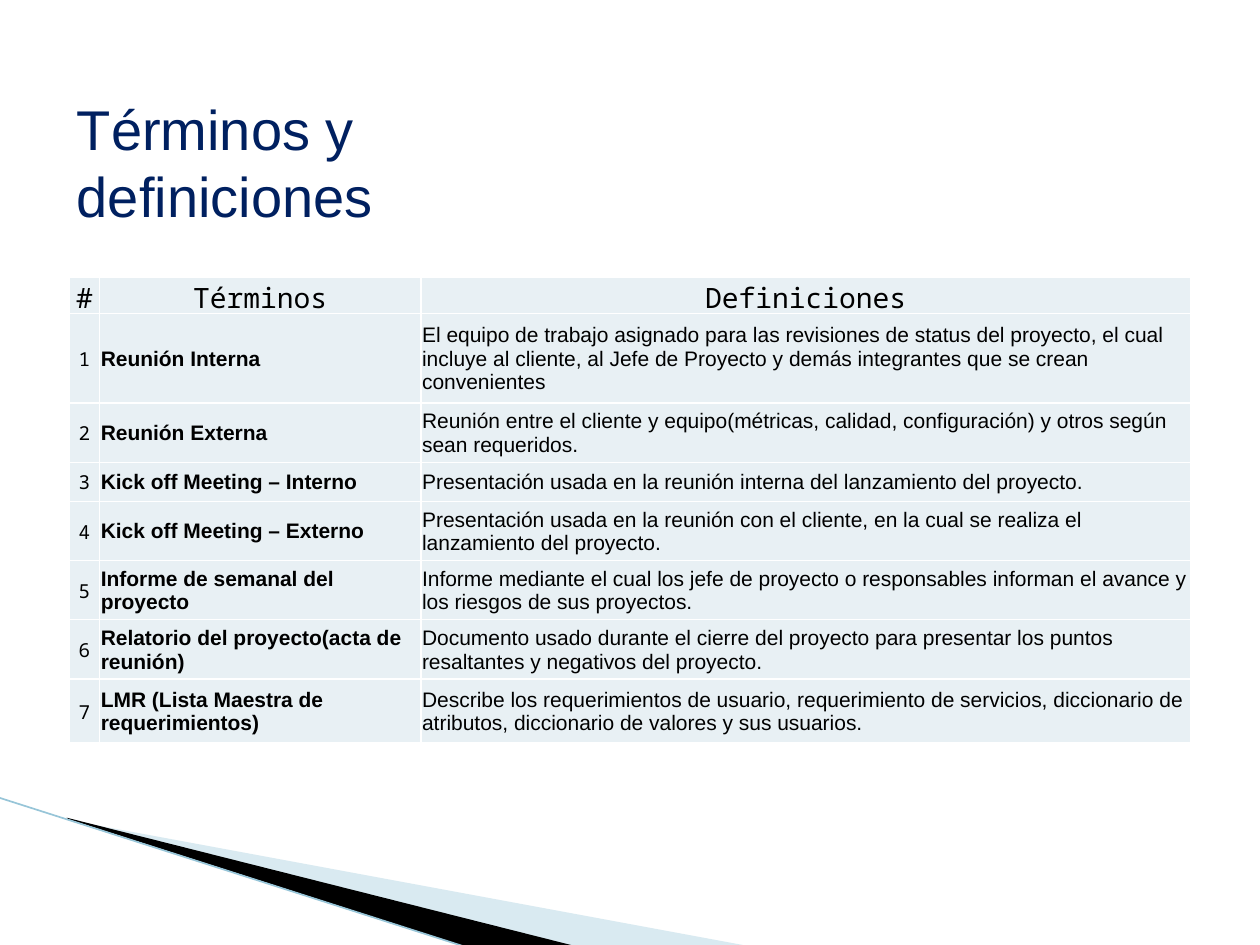
from dataclasses import dataclass

from lxml import etree
from pptx import Presentation
from pptx import util as u
from pptx.dml.color import RGBColor
from pptx.enum import shapes, text
from pptx.oxml.ns import qn


@dataclass(frozen=True)
class Theme:
    title: str = "002060"
    ink: str = "000000"
    cell: str = "E8F0F4"
    border: str = "FFFFFF"
    wedge: str = "A0CBDC"
    edge: str = "97C5D8"
    sans: str = "Arial"
    mono: str = "Noto Sans Mono"
    title_size: int = 32
    header_size: int = 16
    number_size: int = 11
    body_size: int = 12


THEME = Theme()
COLUMNS = [0.24, 2.55, 6.11]
ROWS = [0.29, 0.71, 0.47, 0.31, 0.47, 0.47, 0.47, 0.51]
HEADER = ["#", "Términos", "Definiciones"]
TERMS = [
    ("Reunión Interna",
     "El equipo de trabajo asignado para las revisiones de status del proyecto, el cual "
     "incluye al cliente, al Jefe de Proyecto y demás integrantes que se crean convenientes"),
    ("Reunión Externa",
     "Reunión entre el cliente y equipo(métricas, calidad, configuración) y otros según "
     "sean requeridos."),
    ("Kick off Meeting – Interno",
     "Presentación usada en la reunión interna del lanzamiento del proyecto."),
    ("Kick off Meeting – Externo",
     "Presentación usada en la reunión con el cliente, en la cual se realiza el "
     "lanzamiento del proyecto."),
    ("Informe de semanal del proyecto",
     "Informe mediante el cual los jefe de proyecto o responsables informan el avance y "
     "los riesgos de sus proyectos."),
    ("Relatorio del proyecto(acta de reunión)",
     "Documento usado durante el cierre del proyecto para presentar los puntos "
     "resaltantes y negativos del proyecto."),
    ("LMR (Lista Maestra de requerimientos)",
     "Describe los requerimientos de usuario, requerimiento de servicios, diccionario de "
     "atributos, diccionario de valores y sus usuarios."),
]


def rgb(value):
    return RGBColor.from_string(value)


def style(paragraph, name, size, color, bold=False, align=text.PP_ALIGN.LEFT):
    paragraph.alignment = align
    font = paragraph.font
    font.name, font.size, font.bold = name, u.Pt(size), bold
    font.color.rgb = rgb(color)


def add_wedge(slide, points, color, opacity=100):
    start, *rest = [(x * 100, y * 100) for x, y in points]
    builder = slide.shapes.build_freeform(*start, scale=u.Inches(1) / 100)
    builder.add_line_segments(rest, close=True)
    shape = builder.convert_to_shape()
    shape.shadow.inherit = False
    shape.fill.solid()
    shape.fill.fore_color.rgb = rgb(color)
    shape.line.fill.background()
    if opacity < 100:
        fill_color = shape.fill._xPr.find(qn("a:solidFill"))[0]
        etree.SubElement(fill_color, qn("a:alpha"), val=str(opacity * 1000))


def add_edge(slide, start, end):
    points = [u.Inches(length) for length in (*start, *end)]
    line = slide.shapes.add_connector(shapes.MSO_CONNECTOR.STRAIGHT, *points)
    line.line.color.rgb = rgb(THEME.edge)
    line.line.width = u.Pt(0.95)
    etree.SubElement(line._element.spPr, qn("a:effectLst"))


def set_title(slide, words, left, top, width, height):
    title = slide.shapes.title
    title.left, title.top = u.Inches(left), u.Inches(top)
    title.width, title.height = u.Inches(width), u.Inches(height)
    frame = title.text_frame
    frame.text = words
    frame.word_wrap = True
    frame.auto_size = text.MSO_AUTO_SIZE.SHAPE_TO_FIT_TEXT
    frame.vertical_anchor = text.MSO_ANCHOR.TOP
    style(frame.paragraphs[0], THEME.sans, THEME.title_size, THEME.title)


def add_borders(cell):
    properties = cell._tc.get_or_add_tcPr()
    for side in ("lnL", "lnR", "lnT", "lnB"):
        line = etree.SubElement(properties, qn(f"a:{side}"), w=str(u.Pt(1)))
        fill = etree.SubElement(line, qn("a:solidFill"))
        etree.SubElement(fill, qn("a:srgbClr"), val=THEME.border)


def fill_cell(cell, words, **look):
    cell.text = words
    cell.vertical_anchor = text.MSO_ANCHOR.MIDDLE
    cell.margin_left = cell.margin_right = cell.margin_top = u.Inches(0.01)
    cell.margin_bottom = 0
    add_borders(cell)
    cell.fill.solid()
    cell.fill.fore_color.rgb = rgb(THEME.cell)
    style(cell.text_frame.paragraphs[0], color=THEME.ink, **look)


def add_terms_table(slide, left, top):
    frame = slide.shapes.add_table(
        len(ROWS), len(COLUMNS), u.Inches(left), u.Inches(top),
        u.Inches(sum(COLUMNS)), u.Inches(sum(ROWS)))
    table = frame.table
    table.first_row = table.horz_banding = False
    for column, width in zip(table.columns, COLUMNS):
        column.width = u.Inches(width)
    for row, height in zip(table.rows, ROWS):
        row.height = u.Inches(height)

    center = text.PP_ALIGN.CENTER
    header = dict(name=THEME.mono, size=THEME.header_size, align=center)
    body = dict(name=THEME.sans, size=THEME.body_size)
    looks = [dict(name=THEME.mono, size=THEME.number_size, align=center),
             dict(body, bold=True), body]
    contents = [HEADER] + [(str(number), *term) for number, term in enumerate(TERMS, 1)]
    for index, (row, words) in enumerate(zip(table.rows, contents)):
        for cell, content, look in zip(row.cells, words, looks):
            fill_cell(cell, content, **(look if index else header))


def main():
    presentation = Presentation()
    presentation.slide_width, presentation.slide_height = u.Inches(10), u.Inches(7.5)
    slide = presentation.slides.add_slide(presentation.slide_layouts.get_by_name("Title Only"))
    add_wedge(slide, [(0.55, 6.51), (5.95, 7.51), (4.56, 7.51), (0.55, 6.5)], THEME.wedge, 40)
    add_wedge(slide, [(0.53, 6.49), (4.57, 7.51), (3.72, 7.52), (0.54, 6.5)], THEME.ink)
    add_edge(slide, (-0.01, 6.33), (3.71, 7.52))
    set_title(slide, "Términos y definiciones", 0.51, 0.7, 4.8, 0.63)
    add_terms_table(slide, 0.55, 2.2)
    presentation.save("out.pptx")


if __name__ == "__main__":
    main()
